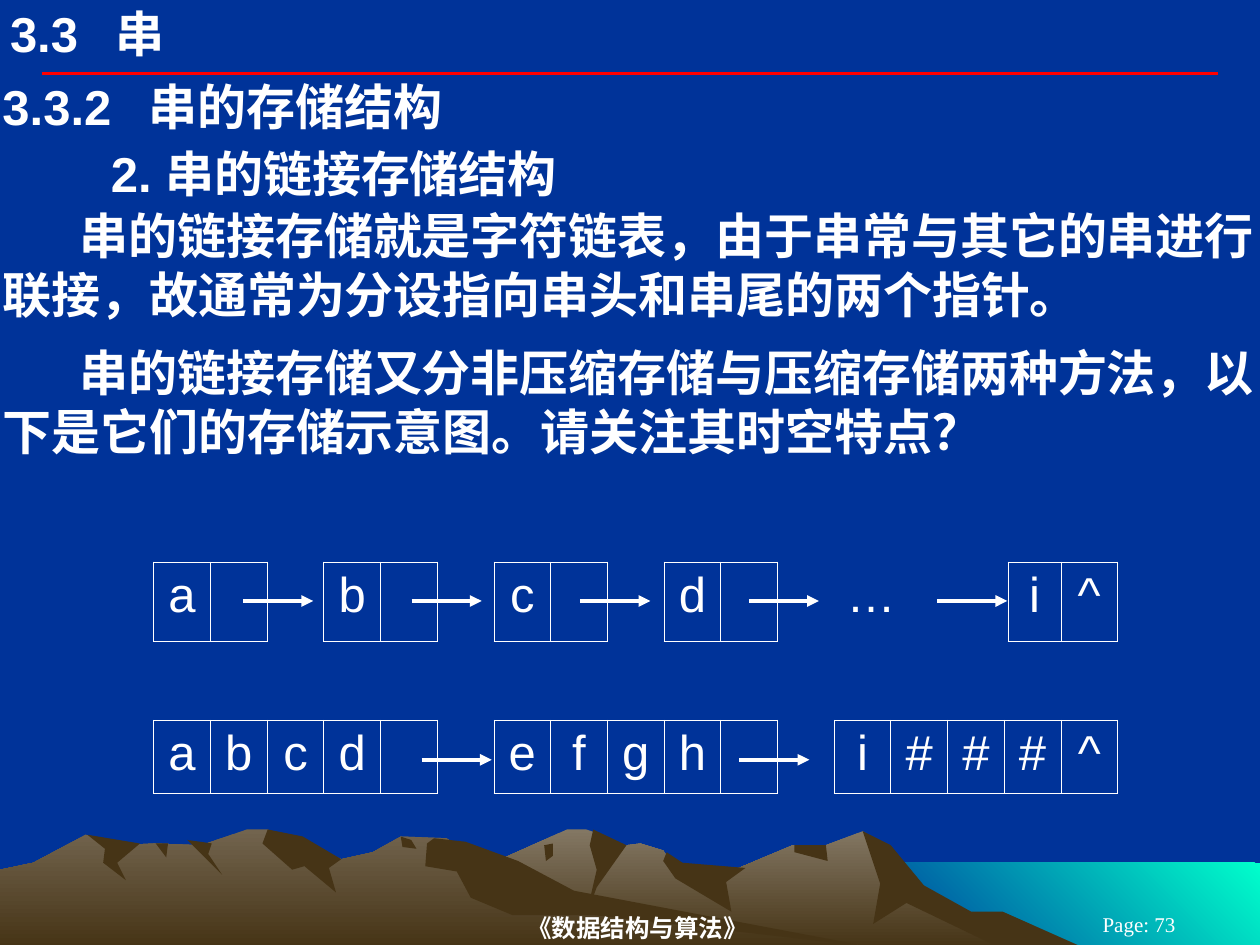
from lxml import etree
from pptx import Presentation
from pptx.dml.color import RGBColor
from pptx.enum.shapes import MSO_CONNECTOR
from pptx.enum.text import MSO_ANCHOR, MSO_AUTO_SIZE, PP_ALIGN
from pptx.oxml.ns import qn
from pptx.util import Pt

STRAIGHT = MSO_CONNECTOR.STRAIGHT
CENTER, LEFT = PP_ALIGN.CENTER, PP_ALIGN.LEFT
MIDDLE, TOP = MSO_ANCHOR.MIDDLE, MSO_ANCHOR.TOP
GROW, FIXED = MSO_AUTO_SIZE.SHAPE_TO_FIT_TEXT, MSO_AUTO_SIZE.NONE

NAVY = RGBColor(0x00, 0x33, 0x99)
AQUA = RGBColor(0x00, 0xFF, 0xCC)
ROCK = RGBColor(0x83, 0x77, 0x63)
EARTH = RGBColor(0x72, 0x64, 0x4E)
SHADE = RGBColor(0x46, 0x34, 0x16)
RED = RGBColor(0xFF, 0x00, 0x00)
WHITE = RGBColor(0xFF, 0xFF, 0xFF)

# Landscape, back to front: (colours, clockwise gradient angle, outline)
SEA = [(492, 541), (492, 493), (720, 493), (720, 541)]
RIGHT_RANGE = [
    (186, 541), (236, 510), (284, 492), (324, 474), (335, 474), (341, 476), (350, 484),
    (366, 482), (379, 486), (386, 497), (408, 502), (453, 483), (472, 483), (493, 475),
    (505, 483), (521, 502), (550, 520), (591, 541)]
LEFT_RANGE = [
    (0, 541), (0, 497), (19, 493), (49, 477), (68, 483), (88, 482), (115, 483), (141, 474),
    (153, 474), (195, 491), (213, 487), (229, 478), (255, 479), (311, 513), (497, 541)]
SHADOWS = [
    [(493, 475), (509, 483), (528, 506), (555, 521), (573, 521), (618, 541), (570, 541),
     (518, 516), (499, 528), (503, 505)],
    [(339, 474), (358, 483), (341, 507), (335, 523), (341, 497), (337, 483)],
    [(381, 487), (390, 493), (426, 496), (415, 504), (418, 521), (386, 502), (379, 492)],
    [(454, 483), (472, 483), (473, 492), (454, 487)],
    [(311, 483), (316, 482), (316, 489), (312, 492)],
    [(153, 474), (173, 478), (195, 491), (188, 496), (192, 510), (174, 495), (167, 497),
     (150, 482)],
    [(244, 482), (248, 479), (266, 481), (296, 492), (328, 509), (497, 541), (340, 523),
     (293, 523), (269, 513), (261, 498), (243, 495)],
    [(229, 478), (235, 480), (238, 485), (230, 484)],
    [(107, 480), (121, 482), (119, 488), (127, 500)],
    [(89, 482), (96, 482), (95, 490)],
    [(50, 477), (80, 482), (67, 493), (72, 503), (59, 493), (60, 485)],
]
LANDSCAPE = [((AQUA, NAVY), 135, SEA), ((ROCK, SHADE), 90, RIGHT_RANGE)]
LANDSCAPE += [((SHADE,), 0, shadow) for shadow in SHADOWS[:5]]
LANDSCAPE += [((EARTH, SHADE), 90, LEFT_RANGE)]
LANDSCAPE += [((SHADE,), 0, shadow) for shadow in SHADOWS[5:]]

# Text, (left, top, width, height), format
BODY_INSETS = (1.44, 0.72, 1.44, 0.72)
PARAGRAPH_INDENT = 44
HEADINGS = [
    ("3.3\t串", (5.76, 2.16, 468, 33.84), dict(insets=(0, 0, 0, 0), tab=60)),
    ("3.3.2\t串的存储结构", (0, 43.2, 720, 35.28), dict(tab=83.5)),
    ("2. 串的链接存储结构", (0, 81.36, 720, 35.28), dict(indent=62)),
    ("串的链接存储就是字符链表，由于串常与其它的串进行联接，故通常为分设指向串头和串尾的两个指针。",
     (0, 116.64, 720, 69.12), dict(indent=PARAGRAPH_INDENT)),
    ("串的链接存储又分非压缩存储与压缩存储两种方法，以下是它们的存储示意图。请关注其时空特点？",
     (0, 195.12, 720, 69.12), dict(indent=PARAGRAPH_INDENT)),
]
FOOTERS = [
    ("《数据结构与算法》", (149.76, 519.84, 436.32, 20.16),
     dict(size=14, bold=True, insets=(0, 0.72, 7, 0.72))),
    ("Page: 73", (594, 522, 113.76, 12.24),
     dict(size=12, bold=False, insets=(7.2, 3.6, 7.2, 3.6))),
]

# Linked lists: "" is an empty pointer field, None a gap between nodes
GAP, MORE = None, "…"
LIST_LEFT, FIELD_WIDTH, ARROW_LENGTH = 87.84, 32.4, 40
LISTS = [
    dict(top=321.12, height=45.6, arrow_y=343.44,
         arrows=[139 + 96.3 * i for i in range(4)] + [535.6], widths={14: 34.56, 15: 30.24},
         fields=["a", "", GAP, "b", "", GAP, "c", "", GAP, "d", "", GAP, MORE, GAP, GAP,
                 "i", "^"]),
    dict(top=411.6, height=41.5, arrow_y=434.16, arrows=[241, 422.5], widths={},
         fields=[*"abcd", "", GAP, *"efgh", "", GAP, *"i###^"]),
]


def write(frame, text, font="Arial", size=28, bold=True, align=LEFT, indent=0, tab=None):
    paragraph = frame.paragraphs[0]
    paragraph.alignment = align
    properties = paragraph._p.get_or_add_pPr()
    if indent:
        properties.set("indent", str(Pt(indent)))
    if tab:
        stops = etree.SubElement(properties, qn("a:tabLst"))
        etree.SubElement(stops, qn("a:tab"), pos=str(Pt(tab)), algn="l")
    run = paragraph.add_run()
    run.text = text
    run.font.name, run.font.size, run.font.bold = font, Pt(size), bold
    run.font.color.rgb = WHITE


def add_text(slide, text, box, insets=BODY_INSETS, anchor=TOP, fit=GROW, **style):
    frame = slide.shapes.add_textbox(*map(Pt, box)).text_frame
    frame.word_wrap, frame.auto_size, frame.vertical_anchor = True, fit, anchor
    (frame.margin_left, frame.margin_top,
     frame.margin_right, frame.margin_bottom) = map(Pt, insets)
    write(frame, text, **style)


def add_land(slide, colors, angle, outline):
    builder = slide.shapes.build_freeform(*outline[0], scale=Pt(1))
    builder.add_line_segments(outline[1:], close=True)
    land = builder.convert_to_shape()
    land.shadow.inherit = False
    land.line.fill.background()
    if len(colors) == 1:
        land.fill.solid()
        land.fill.fore_color.rgb = colors[0]
        return
    land.fill.gradient()
    land.fill.gradient_angle = 360 - angle
    for stop, color in zip(land.fill.gradient_stops, colors):
        stop.color.rgb = color


def add_line(slide, left, right, y, color, arrow=False):
    line = slide.shapes.add_connector(STRAIGHT, Pt(left), Pt(y), Pt(right), Pt(y))
    line.line.color.rgb, line.line.width = color, Pt(2.25)
    if arrow:
        etree.SubElement(line.line._get_or_add_ln(), qn("a:tailEnd"), type="triangle")
    etree.SubElement(line._element.spPr, qn("a:effectLst"))


def set_borders(cell, sides):
    """Draw a thin white border on the named sides (L, R, T, B) and none on the others."""
    properties = cell._tc.get_or_add_tcPr()
    for position, side in enumerate("LRTB"):
        border = etree.Element(qn(f"a:ln{side}"), w=str(Pt(0.45)))
        properties.insert(position, border)
        if side in sides:
            fill = etree.SubElement(border, qn("a:solidFill"))
            etree.SubElement(fill, qn("a:srgbClr"), val=str(WHITE))
        else:
            etree.SubElement(border, qn("a:noFill"))


def add_list(slide, top, height, fields, widths):
    count = len(fields)
    table = slide.shapes.add_table(1, count, Pt(LIST_LEFT), Pt(top),
                                   Pt(FIELD_WIDTH * count), Pt(height)).table
    table.first_row = table.horz_banding = False
    boxed = [field not in (GAP, MORE) for field in fields]
    for i, field in enumerate(fields):
        table.columns[i].width = Pt(widths.get(i, FIELD_WIDTH))
        cell = table.cell(0, i)
        cell.fill.background()
        if boxed[i]:
            set_borders(cell, "LRTB")
        else:
            set_borders(cell, "L" * boxed[i - 1] + "R" * boxed[i + 1])
        if field:
            write(cell.text_frame, field, bold=False, align=CENTER)


def main():
    deck = Presentation()
    deck.slide_width, deck.slide_height = Pt(720), Pt(540)
    slide = deck.slides.add_slide(deck.slide_layouts[6])
    slide.background.fill.solid()
    slide.background.fill.fore_color.rgb = NAVY
    for land in LANDSCAPE:
        add_land(slide, *land)
    add_line(slide, 24, 696, 42, RED)
    for text, box, style in FOOTERS:
        add_text(slide, text, box, font="Times New Roman", anchor=MIDDLE, fit=FIXED,
                 align=CENTER, **style)
    for text, box, style in HEADINGS:
        add_text(slide, text, box, **style)
    for chain in LISTS:
        add_list(slide, chain["top"], chain["height"], chain["fields"], chain["widths"])
        for left in chain["arrows"]:
            add_line(slide, left, left + ARROW_LENGTH, chain["arrow_y"], WHITE, arrow=True)
    deck.save("out.pptx")


if __name__ == "__main__":
    main()
